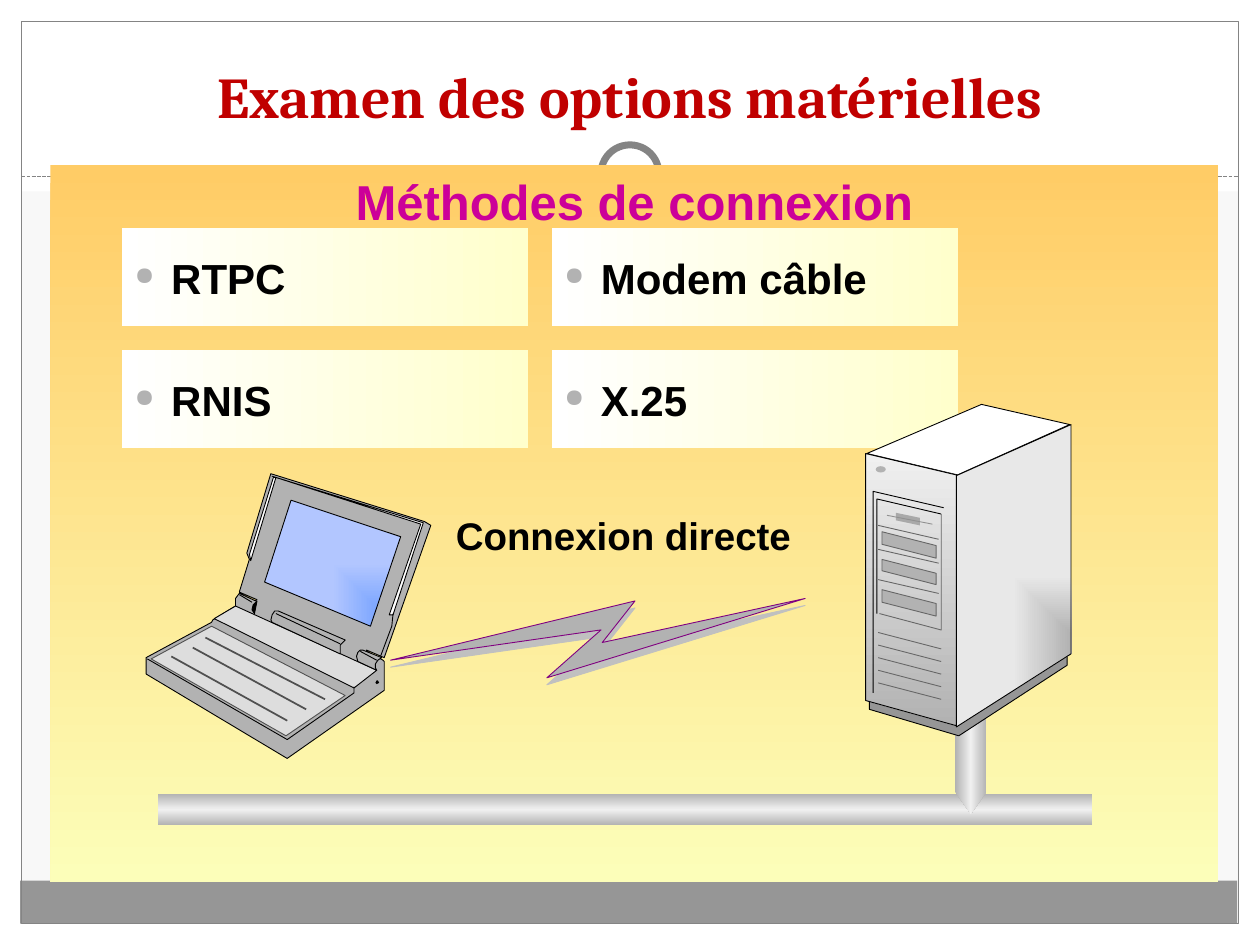
from pptx import Presentation
from pptx.dml.color import RGBColor
from pptx.enum.dml import MSO_LINE
from pptx.enum.shapes import MSO_CONNECTOR, MSO_SHAPE
from pptx.enum.text import MSO_ANCHOR, PP_ALIGN
from pptx.oxml import parse_xml
from pptx.oxml.ns import qn
from pptx.util import Cm, Pt
from lxml import etree

RECT, OVAL, PLATE = MSO_SHAPE.RECTANGLE, MSO_SHAPE.OVAL, MSO_SHAPE.PENTAGON
LINE, DASH = MSO_CONNECTOR.STRAIGHT, MSO_LINE.SQUARE_DOT
TOP, MID, LOW = MSO_ANCHOR.TOP, MSO_ANCHOR.MIDDLE, MSO_ANCHOR.BOTTOM
LEFT, CENTER = PP_ALIGN.LEFT, PP_ALIGN.CENTER
NS = 'xmlns:a="http://schemas.openxmlformats.org/drawingml/2006/main"'

HEX = {"back": "F8F8F8", "white": "FFFFFF", "black": "000000", "band": "969696",
       "edge": "848484", "title": "C00000", "head": "CC0099", "gray": "B2B2B2",
       "light": "DDDDDD", "key": "505050", "mid": "676767", "slit": "919191",
       "plug": "A9A9A9", "bolt": "800080", "shade": "C0C0C0"}
# Gradients: stop colours, then the angle, or None for one from the lower right
GRADS = {"panel": (("FFCC66", "FCFEB9"), 90), "card": (("FFFFFF", "FFFFCC"), 0),
         "pipe": (("B2B2B2", "F0F0F0", "B2B2B2"), 90),
         "screen": (("6699FF", "B2C6FF"), None),
         "side": (("B2B2B2", "E8E8E8"), None), "front": (("F0F0F0", "B2B2B2"), 90)}

# All places are in hundredths of an inch
TITLE, HEAD, LINK = "Examen des options matérielles", "Méthodes de connexion", "Connexion directe"
CARDS = [["RTPC", "Modem câble"], ["RNIS", "X.25"]]
FRAME = [((0, 733, 1000, 17), "white"), ((0, 0, 1000, 152), "white"),
         ((0, 0, 17, 750), "white"), ((983, 0, 17, 750), "white"),
         ((16, 699, 966, 34), "band")]

# Outlines: fill, line, line width, points
LAPTOP = [
    ("gray", "black", 0.5, [
        (342, 417), (305, 522), (291, 516), (291, 517), (304, 524), (305, 525),
        (305, 548), (228, 602), (116, 535), (116, 522), (168, 494), (169, 492),
        (187, 481), (187, 475), (190, 471), (203, 477), (204, 476), (190, 470),
        (198, 444), (196, 439), (215, 376), (337, 414)]),
    ("light", "black", 0.5, [(299, 532), (187, 481), (170, 491), (281, 546)]),
    ("white", "black", 0.5, [(336, 415), (312, 488), (309, 488), (334, 416), (216, 378)]),
    ("screen", "black", 0.5, [(294, 497), (210, 462), (231, 397), (318, 426)]),
    ("gray", "black", 0.5, [
        (288, 516), (303, 522), (300, 524), (298, 527), (298, 530), (299, 532),
        (284, 525), (283, 521), (284, 518), (286, 516)]),
    (None, "black", 0.5, [(200, 478), (190, 472)]),
    ("white", "black", 0.5, [(199, 445), (198, 440), (217, 379), (219, 379)]),
    (None, "black", 0.5, [(299, 524), (286, 517)]),
    ("light", "key", 0.5, [(274, 552), (168, 497), (120, 523), (227, 584)]),
    ("gray", "black", 0.5, [
        (274, 508), (221, 485), (218, 485), (216, 488), (215, 492), (216, 494),
        (270, 519), (270, 512), (272, 510)]),
    (None, "black", 0.5, [(270, 511), (219, 487)]),
    ("black", None, 0, [(299, 540), (298, 542), (299, 543), (301, 542), (300, 540)]),
    (None, "black", 0.5, [(312, 487), (311, 497), (302, 521)]),
    ("black", "black", 0.5, [(204, 477), (201, 480), (200, 484), (202, 487)]),
    (None, "key", 1, [(258, 555), (163, 506)]),
    (None, "key", 1, [(243, 563), (153, 514)]),
    (None, "key", 1, [(228, 572), (136, 521)]),
    (None, "black", 0.5, [(281, 545), (281, 550), (228, 587), (117, 523)])]
BOLT = ("gray", "bolt", 0.5, [
    (310, 524), (504, 477), (478, 510), (639, 475), (434, 538), (477, 500)])
SERVER = [
    ("white", "black", 0.5, [(688, 360), (760, 377), (849, 337), (779, 321)]),
    ("band", "black", 0.5, [(690, 553), (690, 563), (761, 584), (847, 528), (847, 516)]),
    ("side", "black", 0.5, [(758, 378), (759, 577), (850, 519), (850, 337)]),
    ("front", "black", 0.5, [(759, 377), (759, 576), (687, 556), (687, 360)]),
    (None, "mid", 0.5, [(698, 487), (747, 500), (747, 408)]),
    (None, "black", 0.5, [(749, 403), (693, 390), (693, 550)]),
    (None, "black", 0.5, [(747, 408), (696, 396), (696, 487)]),
    ("plug", None, 0, [(711, 407), (711, 413), (730, 417), (730, 411)]),
    (None, "slit", 0.5, [(704, 409), (740, 416)])]
# Vents, then shelves
SERVER += [(None, "mid", 0.5, [(697, y), (747, y + 13)]) for y in range(502, 543, 10)]
SERVER += [(None, "mid", 0.5, [(697, y), (745, y + 11)]) for y in (417, 436, 460)]
# Drives: top, height, left of the button, top of the button
for y, h, bx, by in [(422, 10, 732, 433), (444, 9, 732, 456), (468, 10, 733, 480)]:
    SERVER += [
        ("gray", "mid", 0.5, [(700, y + h), (700, y), (743, y + 11), (743, y + h + 11)]),
        ("gray", "gray", 1, [(bx, by + 1), (bx, by), (bx + 7, by + 2), (bx + 7, by + 3)])]


def cm(*nums):
    return [Cm(2.54 * n / 100) for n in nums]


def rgb(name):
    return RGBColor.from_string(HEX[name])


def stroke(line, name, width):
    if name:
        line.color.rgb = rgb(name)
        line.width = Pt(width)
    else:
        line.fill.background()


def paint(shape, fill=None, edge=None, width=0.5):
    shape.shadow.inherit = False
    shape.fill.background()
    if fill in GRADS:
        tones, angle = GRADS[fill]
        stops = "".join(
            f'<a:gs pos="{100000 * i // (len(tones) - 1)}"><a:srgbClr val="{t}"/></a:gs>'
            for i, t in enumerate(tones))
        way = ('<a:path path="rect"><a:fillToRect l="100000" t="100000"/></a:path>'
               if angle is None else f'<a:lin ang="{angle * 60000}" scaled="0"/>')
        props = shape.element.spPr
        props.replace(props.find(qn("a:noFill")), parse_xml(
            f'<a:gradFill {NS} rotWithShape="1"><a:gsLst>{stops}</a:gsLst>{way}</a:gradFill>'))
    elif fill:
        shape.fill.solid()
        shape.fill.fore_color.rgb = rgb(fill)
    stroke(shape.line, edge, width)
    return shape


def add(shapes, kind, box, *look):
    return paint(shapes.add_shape(kind, *cm(*box)), *look)


def link(shapes, start, end, name, width):
    line = shapes.add_connector(LINE, *cm(*start, *end))
    stroke(line.line, name, width)
    etree.SubElement(line.element.spPr, qn("a:effectLst"))
    return line


def trace(shapes, fill, edge, width, pts):
    if len(pts) == 2:
        return link(shapes, *pts, edge, width)
    pen = shapes.build_freeform(*pts[0], scale=cm(1)[0])
    pen.add_line_segments(pts[1:], close=fill is not None)
    return paint(pen.convert_to_shape(), fill, edge, width)


def write(shape, text, size, color, font="Arial", align=LEFT, anchor=MID, wrap=True, dot=False):
    frame = shape.text_frame
    frame.text = text
    frame.word_wrap = wrap
    frame.vertical_anchor = anchor
    para = frame.paragraphs[0]
    para.alignment = align
    if dot:
        props = para._p.get_or_add_pPr()
        props.set("marL", str(cm(29)[0]))
        props.set("indent", str(-cm(29)[0]))
        for xml in (f'<a:buClr {NS}><a:srgbClr val="{HEX["gray"]}"/></a:buClr>',
                    f'<a:buSzPct {NS} val="60000"/>', f'<a:buChar {NS} char="●"/>'):
            props.append(parse_xml(xml))
    face = para.runs[0].font
    face.name, face.size, face.bold = font, Pt(size), True
    face.color.rgb = rgb(color)


deck = Presentation()
deck.slide_width, deck.slide_height = cm(1000, 750)
slide = deck.slides.add_slide(deck.slide_layouts[5])
slide.background.fill.solid()
slide.background.fill.fore_color.rgb = rgb("back")
shapes = slide.shapes

# Frame and ring
for box, fill in FRAME:
    add(shapes, RECT, box, fill)
add(shapes, RECT, (17, 17, 966, 716), None, "edge", 0.75)
link(shapes, (17, 140), (983, 140), "edge", 0.75).line.dash_style = DASH
add(shapes, OVAL, (467, 105, 67, 67), "white")
add(shapes, OVAL, (477, 115, 46, 46), "white", "edge", 4)

# Title, above the frame
title = shapes.title
title.left, title.top, title.width, title.height = cm(0, 25, 1000, 83)
write(title, TITLE, 33, "title", "Cambria", CENTER, LOW)
shapes.element.append(title.element)

# Panel and network pipes
panel = add(shapes, RECT, (40, 131, 927, 569), "panel")
write(panel, HEAD, 28, "head", align=CENTER, anchor=TOP, wrap=False)
add(shapes, RECT, (125, 630, 742, 25), "pipe")
plate = add(shapes, PLATE, (683, 546, 175, 25), "pipe")
plate.adjustments[0] = 0.7
plate.rotation = 90

# Laptop and lightning bolt
laptop = shapes.add_group_shape().shapes
for part in LAPTOP:
    trace(laptop, *part)
bolt = trace(shapes, *BOLT)
bolt.element.spPr.find(qn("a:effectLst")).append(parse_xml(
    f'<a:outerShdw {NS} dist="{Pt(4)}" dir="5400000" algn="ctr" rotWithShape="0">'
    f'<a:srgbClr val="{HEX["shade"]}"/></a:outerShdw>'))

# Method cards
cards = shapes.add_group_shape().shapes
for row, names in enumerate(CARDS):
    for col, name in enumerate(names):
        card = add(cards, RECT, (97 + 341 * col, 181 + 97 * row, 322, 78), "card")
        write(card, name, 24, "black", dot=True)
write(shapes.add_textbox(*cm(352, 391, 316, 68)), LINK, 22, "black")

# Server
server = shapes.add_group_shape().shapes
for part in SERVER:
    trace(server, *part)
add(server, OVAL, (695, 370, 8, 5), "gray")

deck.save("out.pptx")
